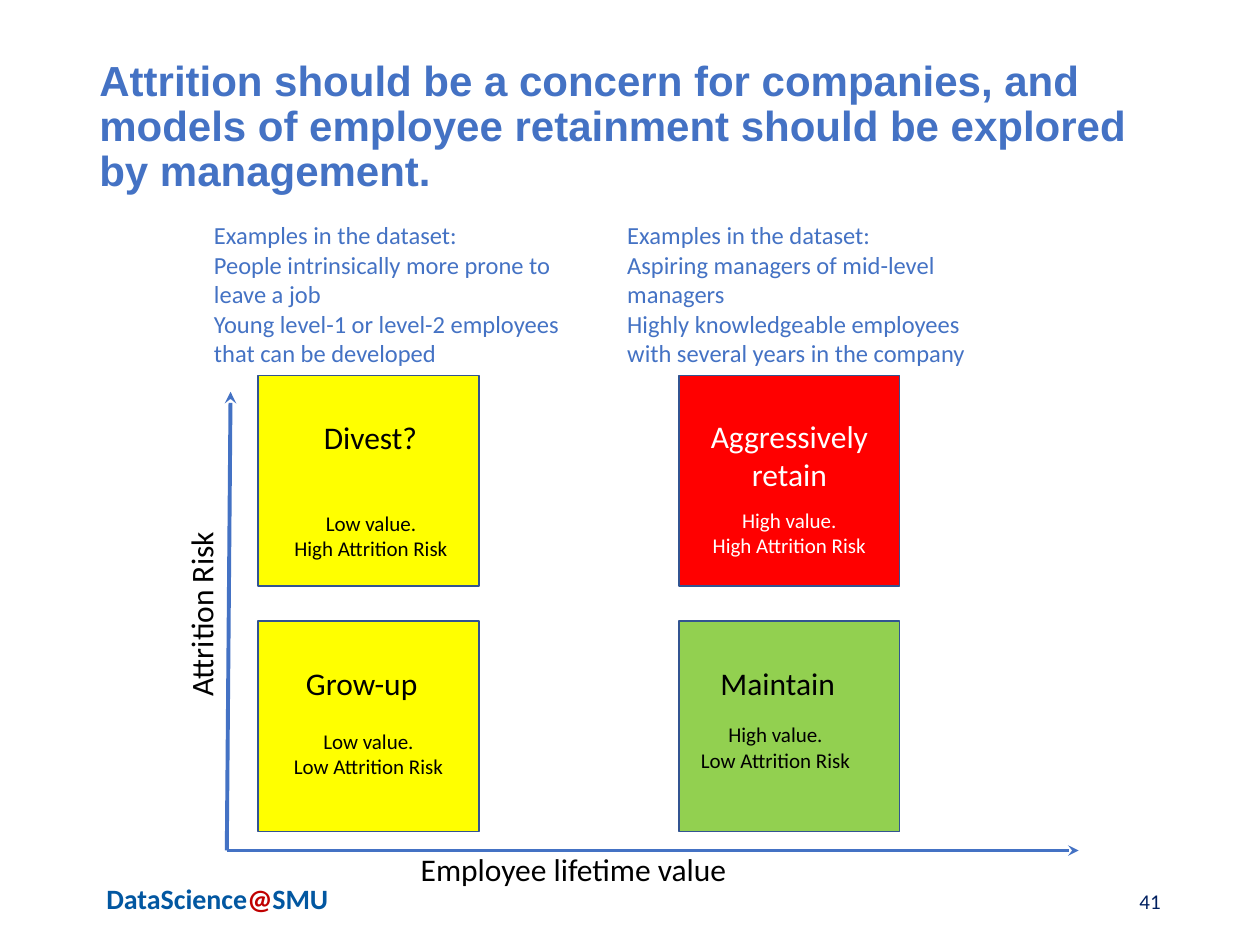
from lxml import etree
from pptx import Presentation
from pptx.dml.color import RGBColor
from pptx.enum import shapes, text
from pptx.oxml.ns import qn
from pptx.util import Inches, Pt

BLUE = RGBColor(0x44, 0x72, 0xC4)
EDGE = RGBColor(0x32, 0x54, 0x91)
NAVY = RGBColor(0x00, 0x20, 0x60)
BRAND = RGBColor(0x02, 0x57, 0xA1)
CRIMSON = RGBColor(0xC0, 0x00, 0x00)
YELLOW = RGBColor(0xFF, 0xFF, 0x00)
RED = RGBColor(0xFF, 0x00, 0x00)
GREEN = RGBColor(0x92, 0xD0, 0x50)
BLACK = RGBColor(0x00, 0x00, 0x00)
WHITE = RGBColor(0xFF, 0xFF, 0xFF)
LEFT, CENTER, RIGHT = text.PP_ALIGN.LEFT, text.PP_ALIGN.CENTER, text.PP_ALIGN.RIGHT
MIDDLE = text.MSO_ANCHOR.MIDDLE

deck = Presentation()
deck.slide_width, deck.slide_height = Inches(10), Inches(7.5)
slide = deck.slides.add_slide(deck.slide_layouts[6])


def add_text(place, lines, size, color, align=LEFT, font="Calibri", bold=False):
    """Each line is a list of (words, color) runs, or plain words in the given color."""
    box = slide.shapes.add_textbox(*map(Inches, place))
    frame = box.text_frame
    frame.word_wrap = True
    for i, line in enumerate(lines):
        para = frame.paragraphs[0] if i == 0 else frame.add_paragraph()
        para.alignment = align
        runs = [(line, color)] if isinstance(line, str) else line
        for words, tint in runs:
            run = para.add_run()
            run.text = words
            for key, value in {"name": font, "size": Pt(size), "bold": bold}.items():
                setattr(run.font, key, value)
            run.font.color.rgb = tint
    return box


# Footer
add_text((0.69, 6.95, 2.07, 0.53),
         [[("DataScience", BRAND), ("@", CRIMSON), ("SMU", BRAND)]],
         16, BRAND, CENTER, bold=True)
number = add_text((7.06, 6.95, 2.25, 0.4), ["41"], 12, NAVY, RIGHT)
number.text_frame.vertical_anchor = MIDDLE

# Axes
for end_x, end_y, width in [(1.83, 3.11, 2.25), (8.56, 6.75, 2)]:
    axis = slide.shapes.add_connector(
        shapes.MSO_CONNECTOR.STRAIGHT,
        Inches(1.8), Inches(6.75), Inches(end_x), Inches(end_y))
    axis.line.color.rgb = BLUE
    axis.line.width = Pt(width)
    etree.SubElement(axis.line._get_or_add_ln(), qn("a:tailEnd"), type="stealth")
    etree.SubElement(axis._element.spPr, qn("a:effectLst"))

# Quadrants: corner, fill, ink, heading and its place, alignment, value, risk, note corner
quadrants = [
    (2.05, 2.98, YELLOW, BLACK, "Divest?", (2.33, 3.27, 1.22, 0.41), CENTER,
     "Low", "High", (2.18, 4)),
    (2.05, 4.93, YELLOW, BLACK, "Grow-up", (2.33, 5.22, 1.22, 0.4), LEFT,
     "Low", "Low", (2.16, 5.73)),
    (5.39, 2.98, RED, WHITE, "Aggressively retain", (5.39, 3.26, 1.75, 0.71), CENTER,
     "High", "High", (5.5, 3.98)),
    (5.39, 4.93, GREEN, BLACK, "Maintain", (5.62, 5.22, 1.3, 0.4), LEFT,
     "High", "Low", (5.39, 5.68)),
]
for x, y, fill, ink, head, place, align, value, risk, corner in quadrants:
    tile = slide.shapes.add_shape(
        shapes.MSO_SHAPE.RECTANGLE, Inches(x), Inches(y), Inches(1.75), Inches(1.67))
    tile.shadow.inherit = False
    tile.fill.solid()
    tile.fill.fore_color.rgb = fill
    tile.line.color.rgb = EDGE
    tile.line.width = Pt(1)
    add_text(place, [head], 18, ink, align)
    add_text((*corner, 1.53, 0.5), [f"{value} value.", f"{risk} Attrition Risk"],
             12, ink, CENTER)

# Axis labels
add_text((3.24, 6.7, 3.11, 0.4), ["Employee lifetime value"], 18, BLACK)
risk_label = add_text((0.62, 4.45, 1.95, 0.4), ["Attrition Risk"], 18, BLACK)
risk_label.rotation = 270

# Title
title = add_text((0.69, 0.29, 8.62, 1.45),
                 ["Attrition should be a concern for companies, and models of "
                  "employee retainment should be explored by management."],
                 24, BLUE, font="Arial", bold=True)
title.text_frame.vertical_anchor = MIDDLE
title.text_frame.paragraphs[0].line_spacing = 0.9

# Examples above each column
examples = [
    (1.6, "People intrinsically more prone to leave a job",
     "Young level-1 or level-2 employees that can be developed"),
    (4.88, "Aspiring managers of mid-level managers",
     "Highly knowledgeable employees with several years in the company"),
]
for x, *people in examples:
    add_text((x, 1.7, 3, 1.28), ["Examples in the dataset:", *people], 14, BLUE)

deck.save("out.pptx")
